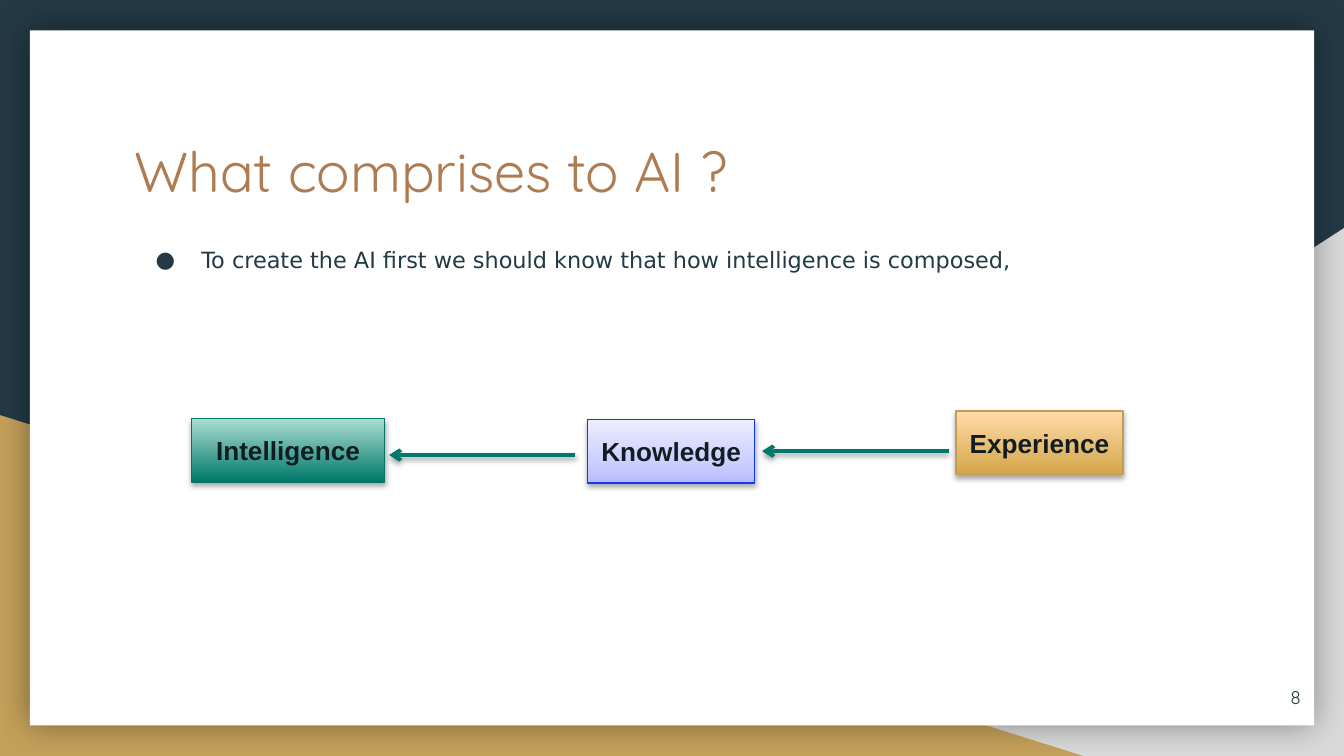
from copy import deepcopy

from lxml import etree
from pptx import Presentation
from pptx.dml.color import RGBColor
from pptx.enum import shapes, text
from pptx.oxml import ns
from pptx.util import Pt

NAVY = RGBColor(0x23, 0x3A, 0x44)
GREY = RGBColor(0xD9, 0xD9, 0xD9)
GOLD = RGBColor(0xC4, 0xA1, 0x5A)
WHITE = RGBColor(0xFF, 0xFF, 0xFF)
COPPER = RGBColor(0xAF, 0x7B, 0x51)
INK = RGBColor(0x12, 0x1D, 0x22)
TEAL = RGBColor(0x00, 0x79, 0x6B)
TEAL_EDGE = RGBColor(0x00, 0x76, 0x69)
MINT = RGBColor(0xAB, 0xDC, 0xD1)
BLUE_EDGE = RGBColor(0x10, 0x39, 0xF5)
LILAC = RGBColor(0xB8, 0xBB, 0xFF)
LILAC_MID = RGBColor(0xCD, 0xCF, 0xFF)
LILAC_PALE = RGBColor(0xEC, 0xED, 0xFF)
AMBER_EDGE = RGBColor(0xC2, 0x9E, 0x55)
AMBER = RGBColor(0xD4, 0xA6, 0x4A)
PEACH = RGBColor(0xFF, 0xDB, 0xA9)


def add_xml(parent, tag, **attributes):
    return etree.SubElement(parent, ns.qn(tag), attributes)


class SlideBuilder:
    heading_font, body_font, box_font = "Quicksand", "DejaVu Sans", "Arial"

    def __init__(self, slide):
        self.slide = slide

    def shadow(self, item, alpha, blur, dist):
        properties = item._element.spPr
        effects = properties.find(ns.qn("a:effectLst"))
        if effects is None:
            effects = add_xml(properties, "a:effectLst")
        outer = add_xml(effects, "a:outerShdw", blurRad=str(Pt(blur)), dist=str(Pt(dist)),
                        dir="5400000", algn="bl", rotWithShape="0")
        color = add_xml(outer, "a:srgbClr", val="000000")
        add_xml(color, "a:alpha", val=str(alpha * 1000))

    def panel(self, kind, left, top, width, height, color, flip=False):
        panel = self.slide.shapes.add_shape(kind, Pt(left), Pt(top), Pt(width), Pt(height))
        panel.shadow.inherit = False
        panel.fill.solid()
        panel.fill.fore_color.rgb = color
        panel.line.fill.background()
        if flip:
            panel._element.spPr.xfrm.set("flipH", "1")
        return panel

    def run(self, paragraph, words, size, font, color, bold=False):
        run = paragraph.add_run()
        run.text = words
        run.font.size, run.font.name, run.font.bold = Pt(size), font, bold
        run.font.color.rgb = color

    def text_box(self, left, top, width, height, anchor=text.MSO_ANCHOR.TOP):
        frame = self.slide.shapes.add_textbox(Pt(left), Pt(top), Pt(width), Pt(height)).text_frame
        frame.word_wrap = True
        frame.vertical_anchor = anchor
        frame.margin_left = frame.margin_right = Pt(7.2)
        frame.margin_top = frame.margin_bottom = Pt(7.2)
        return frame.paragraphs[0]

    def bullet(self, paragraph, indent, hanging, color):
        properties = paragraph._p.get_or_add_pPr()
        properties.set("marL", str(Pt(indent)))
        properties.set("indent", str(-Pt(hanging)))
        add_xml(add_xml(properties, "a:buClr"), "a:srgbClr", val=str(color))
        add_xml(properties, "a:buFont", typeface=self.body_font)
        add_xml(properties, "a:buChar", char="●")

    def stage(self, label, left, top, width, edge, stops):
        """A box with a gradient that runs from bottom to top."""
        box = self.panel(shapes.MSO_SHAPE.RECTANGLE, left, top, width, 34, WHITE)
        box.fill.gradient()
        box.fill.gradient_angle = 90
        stop_list = box._element.spPr.find(ns.qn("a:gradFill")).find(ns.qn("a:gsLst"))
        while len(stop_list) < len(stops):
            stop_list.append(deepcopy(stop_list[-1]))
        for stop, (position, color) in zip(box.fill.gradient_stops, stops):
            stop.position = position
            stop.color.rgb = color
        box.line.color.rgb = edge
        box.line.width = Pt(0.75)
        self.shadow(box, 35, 3.1, 1.8)
        box.text_frame.vertical_anchor = text.MSO_ANCHOR.MIDDLE
        paragraph = box.text_frame.paragraphs[0]
        paragraph.alignment = text.PP_ALIGN.CENTER
        self.run(paragraph, label, 14, self.box_font, INK, bold=True)

    def arrow(self, start, end, y):
        arrow = self.slide.shapes.add_connector(
            shapes.MSO_CONNECTOR.CURVE, Pt(start), Pt(y), Pt(end), Pt(y))
        arrow.line.color.rgb = TEAL
        arrow.line.width = Pt(2)
        add_xml(arrow._element.spPr.find(ns.qn("a:ln")), "a:tailEnd", type="arrow")
        self.shadow(arrow, 38, 3.1, 1.6)


def main():
    deck = Presentation()
    deck.slide_width, deck.slide_height = Pt(720), Pt(405)
    slide = deck.slides.add_slide(deck.slide_layouts[6])
    builder = SlideBuilder(slide)

    # Backdrop and page
    slide.background.fill.solid()
    slide.background.fill.fore_color.rgb = NAVY
    triangle = shapes.MSO_SHAPE.RIGHT_TRIANGLE
    builder.panel(triangle, 282.2, 122.2, 437.8, 282.8, GREY, flip=True)
    builder.panel(triangle, 0, 222.4, 580.3, 182.6, GOLD)
    page = builder.panel(shapes.MSO_SHAPE.RECTANGLE, 16, 16.3, 688, 372.4, WHITE)
    builder.shadow(page, 40, 18, 0)

    # Title and statement
    title = builder.text_box(64.8, 66.2, 591, 75)
    builder.run(title, "What comprises to AI ?", 30, builder.heading_font, COPPER)
    statement = builder.text_box(64.8, 122.4, 591, 226.8)
    statement.alignment = text.PP_ALIGN.JUSTIFY
    statement.line_spacing = 1.15
    builder.bullet(statement, 36, 24.5, NAVY)
    builder.run(statement,
                "To create the AI first we should know that how intelligence is composed,",
                12, builder.body_font, NAVY)

    # Chain from experience to intelligence
    stages = [
        ("Intelligence", 102.6, 224.2, 103.5, TEAL_EDGE, [(0, TEAL), (1, MINT)]),
        ("Knowledge", 314.9, 224.7, 89.4, BLUE_EDGE,
         [(0, LILAC), (0.35, LILAC_MID), (1, LILAC_PALE)]),
        ("Experience", 512.2, 220.2, 89.4, AMBER_EDGE, [(0, AMBER), (1, PEACH)]),
    ]
    for stage in stages:
        builder.stage(*stage)
    builder.arrow(508.3, 408.3, 241.7)
    builder.arrow(308.3, 208.5, 243.8)

    # Page number
    number = builder.text_box(661, 357.8, 43, 31, text.MSO_ANCHOR.MIDDLE)
    number.alignment = text.PP_ALIGN.RIGHT
    builder.run(number, "8", 10, builder.heading_font, NAVY)

    deck.save("out.pptx")


if __name__ == "__main__":
    main()
